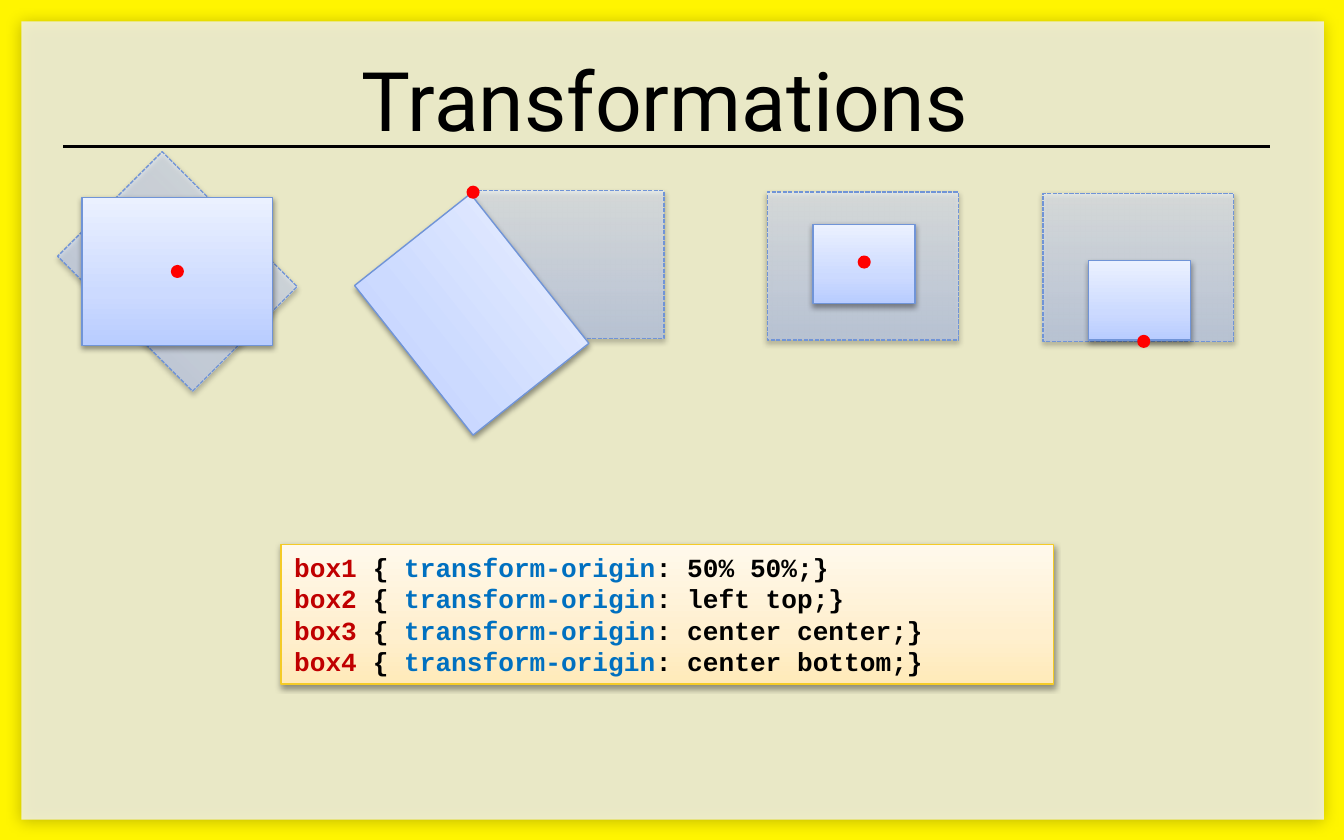
from dataclasses import dataclass

from lxml.etree import SubElement
from pptx import Presentation
from pptx.dml.color import RGBColor
from pptx.enum.dml import MSO_LINE
from pptx.enum.shapes import MSO_CONNECTOR, MSO_SHAPE
from pptx.enum.text import MSO_ANCHOR, PP_ALIGN
from pptx.oxml.ns import qn
from pptx.util import Inches, Pt


@dataclass(frozen=True)
class Theme:
    frame: str = "FFF500"
    panel: str = "F2F2F2"
    ink: str = "000000"
    edge: str = "7094D7"
    origin: str = "FF0000"
    code_edge: str = "F4CB27"
    selector: str = "C00000"
    prop: str = "0070C0"
    box_stops: tuple = ((0, "B8CCFF"), (35, "CCDAFF"), (100, "EBF1FF"))
    code_stops: tuple = ((0, "FFEAB9"), (35, "FFEFCE"), (100, "FFF9EC"))
    ghost_alphas: tuple = (54, 60, 62)
    title_font: str = "Roboto"
    code_font: str = "Courier New"
    title_size: int = 44
    code_size: int = 14
    code_leading: float = 16.85


@dataclass(frozen=True)
class Box:
    left: float
    top: float
    width: float = 1.42
    height: float = 1.1
    rotation: float = 0


@dataclass(frozen=True)
class Demo:
    """A box before and after its transform, and the centre of its origin dot."""
    ghost: Box
    solid: Box
    origin: tuple


T = Theme()
OPAQUE = (100, 100, 100)
DOT = 0.08
SMALL = (0.76, 0.59)
DEMOS = (
    Demo(Box(0.61, 1.47, rotation=45), Box(0.61, 1.47), (1.32, 2.02)),
    Demo(Box(3.52, 1.42), Box(2.8, 1.79, rotation=51.6), (3.52, 1.43)),
    Demo(Box(5.71, 1.43), Box(6.05, 1.67, *SMALL), (6.43, 1.95)),
    Demo(Box(7.76, 1.44), Box(8.1, 1.94, *SMALL), (8.51, 2.54)),
)
ORIGINS = ("50% 50%", "left top", "center center", "center bottom")


def rgb(value: str) -> RGBColor:
    return RGBColor.from_string(value)


def add_alpha(color, percent: int) -> None:
    SubElement(color, qn("a:alpha"), val=str(percent * 1000))


def add_shape(s, kind, box: Box):
    sp = s.shapes.add_shape(kind, Inches(box.left), Inches(box.top),
                            Inches(box.width), Inches(box.height))
    sp.rotation = box.rotation
    sp.shadow.inherit = False
    sp.line.fill.background()
    return sp


def set_solid(sp, color: str) -> None:
    sp.fill.solid()
    sp.fill.fore_color.rgb = rgb(color)


def set_line(sp, color: str, width: float) -> None:
    sp.line.color.rgb = rgb(color)
    sp.line.width = Pt(width)


def set_gradient(sp, stops: tuple, alphas: tuple = OPAQUE) -> None:
    """Fill from the bottom up, with one opacity for each stop."""
    sp.fill.gradient()
    sp.fill.gradient_angle = 90
    gs_list = next(sp.element.spPr.iter(qn("a:gsLst")))
    for gs in list(gs_list):
        gs_list.remove(gs)
    for (position, color), alpha in zip(stops, alphas):
        gs = SubElement(gs_list, qn("a:gs"), pos=str(position * 1000))
        clr = SubElement(gs, qn("a:srgbClr"), val=color)
        if alpha < 100:
            add_alpha(clr, alpha)


def set_shadow(sp, alpha: int = 38, blur: float = 3.1, distance: float = 1.6) -> None:
    effects = sp.element.spPr.find(qn("a:effectLst"))
    shadow = SubElement(effects, qn("a:outerShdw"), blurRad=str(Pt(blur)),
                        dist=str(Pt(distance)), dir="5400000", rotWithShape="0")
    add_alpha(SubElement(shadow, qn("a:srgbClr"), val=T.ink), alpha)


def draw_background(s) -> None:
    set_solid(add_shape(s, MSO_SHAPE.RECTANGLE, Box(0, 0, 10, 6.25)), T.frame)
    panel = add_shape(s, MSO_SHAPE.RECTANGLE, Box(0.16, 0.16, 9.69, 5.94))
    set_solid(panel, T.panel)
    add_alpha(next(panel.element.spPr.iter(qn("a:srgbClr"))), 82)
    set_shadow(panel, alpha=28, blur=8, distance=1)
    rule = s.shapes.add_connector(MSO_CONNECTOR.STRAIGHT, Inches(0.47), Inches(1.09),
                                  Inches(9.45), Inches(1.09))
    set_line(rule, T.ink, 1.5)
    SubElement(rule.element.spPr, qn("a:effectLst"))


def add_run(p, text: str, font: str, size: int, color: str, bold: bool = False) -> None:
    r = p.add_run()
    r.text = text
    r.font.name = font
    r.font.size = Pt(size)
    r.font.bold = bold
    r.font.color.rgb = rgb(color)


def draw_title(s, text: str) -> None:
    title = s.shapes.title
    title.left, title.top = Inches(0.7), Inches(0.31)
    title.width, title.height = Inches(8.5), Inches(0.85)
    title.element.getparent().append(title.element)  # in front of the panel
    tf = title.text_frame
    tf.vertical_anchor = MSO_ANCHOR.MIDDLE
    p = tf.paragraphs[0]
    p.alignment = PP_ALIGN.CENTER
    add_run(p, text, T.title_font, T.title_size, T.ink)


def draw_box(s, box: Box, ghost: bool = False) -> None:
    sp = add_shape(s, MSO_SHAPE.RECTANGLE, box)
    set_gradient(sp, T.box_stops, T.ghost_alphas if ghost else OPAQUE)
    set_line(sp, T.edge, 0.75)
    if ghost:
        sp.line.dash_style = MSO_LINE.SQUARE_DOT
    set_shadow(sp)


def draw_demo(s, demo: Demo) -> None:
    draw_box(s, demo.ghost, ghost=True)
    draw_box(s, demo.solid)
    x, y = demo.origin
    dot = add_shape(s, MSO_SHAPE.OVAL, Box(x - DOT / 2, y - DOT / 2, DOT, DOT))
    set_solid(dot, T.origin)
    set_line(dot, T.origin, 1.25)


def draw_code(s, origins: tuple) -> None:
    sp = add_shape(s, MSO_SHAPE.RECTANGLE, Box(2.09, 4.05, 5.75, 1.04))
    set_gradient(sp, T.code_stops)
    set_line(sp, T.code_edge, 0.75)
    set_shadow(sp)
    tf = sp.text_frame
    tf.word_wrap = True
    tf.vertical_anchor = MSO_ANCHOR.MIDDLE
    for number, origin in enumerate(origins, 1):
        p = tf.paragraphs[0] if number == 1 else tf.add_paragraph()
        p.alignment = PP_ALIGN.LEFT
        p.line_spacing = Pt(T.code_leading)
        for text, color in ((f"box{number} ", T.selector), ("{", T.ink),
                            (" transform-origin", T.prop), (f": {origin};}}", T.ink)):
            add_run(p, text, T.code_font, T.code_size, color, bold=True)


def main() -> None:
    prs = Presentation()
    prs.slide_width, prs.slide_height = Inches(10), Inches(6.25)
    s = prs.slides.add_slide(prs.slide_layouts[0])
    subtitle = s.placeholders[1].element
    subtitle.getparent().remove(subtitle)
    draw_background(s)
    draw_title(s, "Transformations")
    for demo in DEMOS:
        draw_demo(s, demo)
    draw_code(s, ORIGINS)
    prs.save("out.pptx")


if __name__ == "__main__":
    main()
